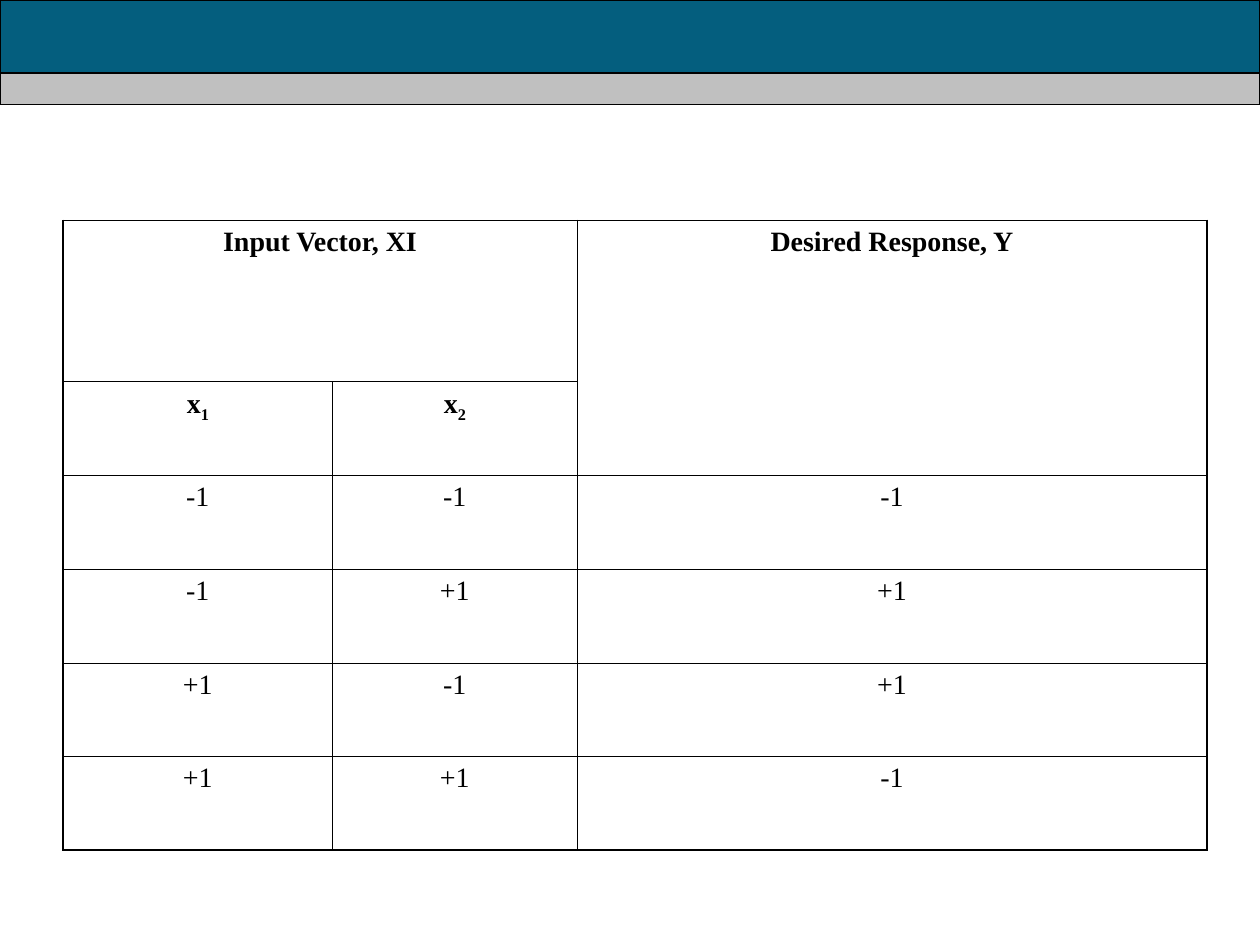
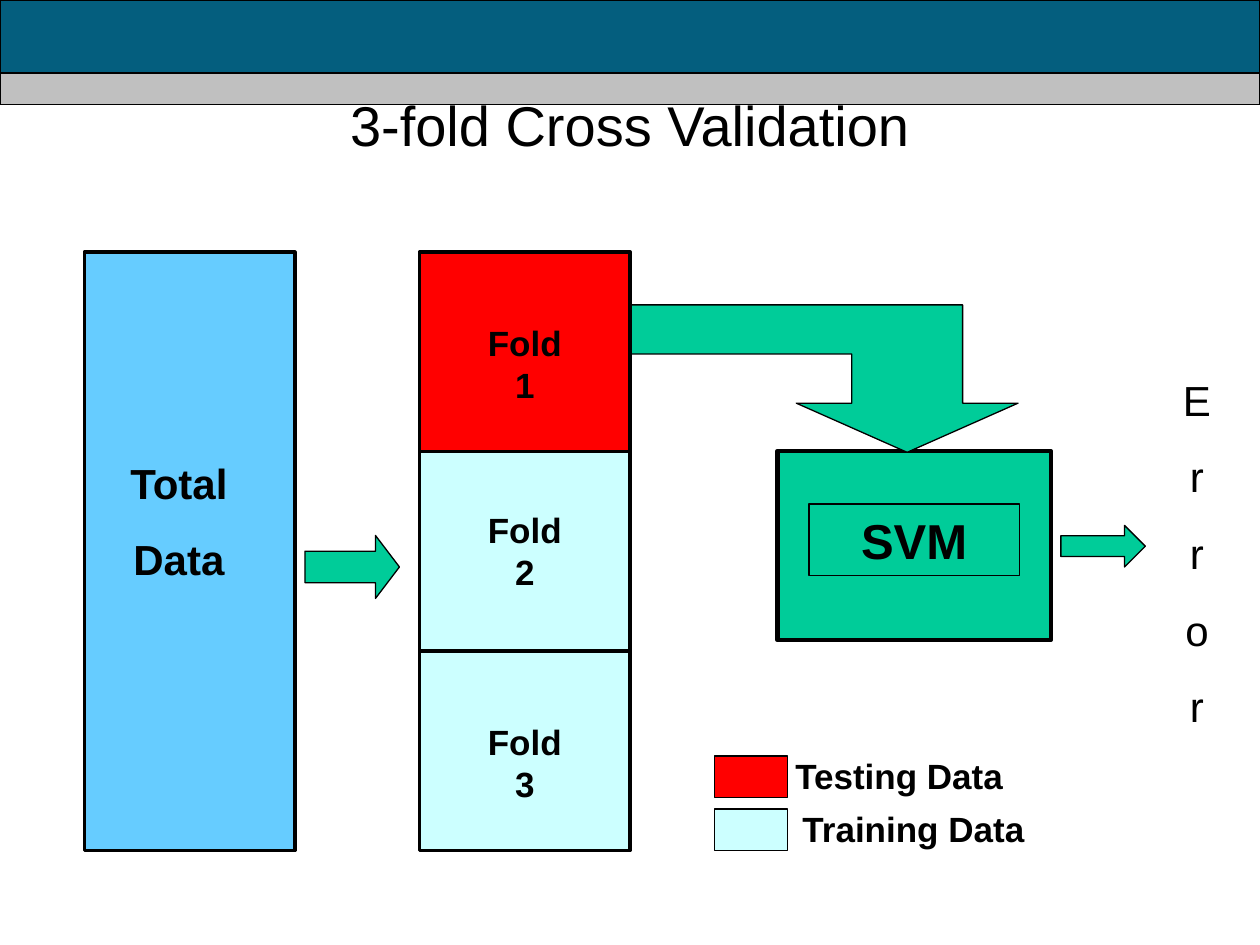
import pptx
import pptx.util
import pptx.dml.color
import pptx.enum.shapes
import pptx.enum.text
import pptx.oxml.ns
import lxml.etree

Inches = pptx.util.Inches
Pt = pptx.util.Pt
SHAPE = pptx.enum.shapes.MSO_SHAPE
ALIGN = pptx.enum.text.PP_ALIGN
ANCHOR = pptx.enum.text.MSO_ANCHOR

# Shared look
BLACK = "000000"
TEAL, GREY = "045E7E", "C0C0C0"
BLUE, GREEN = "66CCFF", "00CC99"
RED, PALE = "FF0000", "CCFFFF"
SANS, SERIF = "Arial", "Times New Roman"
OUTER, INNER = 1.08, 0.45


def color(code):
    return pptx.dml.color.RGBColor.from_string(code)


def add_run(para, text, size, face=SANS, bold=False, sub=False):
    run = para.add_run()
    run.text = text
    font = run.font
    font.size, font.name, font.bold = Pt(size), face, bold
    font.color.rgb = color(BLACK)
    if sub:
        run._r.get_or_add_rPr().set("baseline", "-25000")


def write(frame, lines, size, bold=True, align=ALIGN.CENTER, gap=0, wrap=True):
    frame.word_wrap = wrap
    frame.vertical_anchor = ANCHOR.TOP
    for i, line in enumerate(lines):
        para = frame.add_paragraph() if i else frame.paragraphs[0]
        para.alignment = align
        if i:
            para.space_before = Pt(gap)
        add_run(para, line, size, bold=bold)


def style(shape, fill, width):
    shape.shadow.inherit = False
    if fill:
        shape.fill.solid()
        shape.fill.fore_color.rgb = color(fill)
    else:
        shape.fill.background()
    shape.line.color.rgb = color(BLACK)
    shape.line.width = Pt(width)
    return shape


def add_box(slide, box, fill, width=0.75, kind=SHAPE.RECTANGLE):
    shape = slide.shapes.add_shape(kind, *map(Inches, box))
    return style(shape, fill, width)


def add_text(slide, box, lines, size, **look):
    label = slide.shapes.add_textbox(*map(Inches, box))
    write(label.text_frame, lines, size, **look)


def add_arrow(slide, box, head):
    arrow = add_box(slide, box, GREEN, kind=SHAPE.RIGHT_ARROW)
    arrow.adjustments[0] = 0.5
    arrow.adjustments[1] = head


def add_bands(deck, slide):
    """Draw the header bands and hand them to the slide master."""
    tree = deck.slide_master.element.cSld.spTree
    bands = [((0, 0, 10, 0.83), TEAL), ((0, 0.58, 10, 0.25), GREY)]
    for i, (box, fill) in enumerate(bands):
        tree.insert(2 + i, add_box(slide, box, fill).element)


def add_title(slide, box, text):
    title = slide.shapes.title
    title.left, title.top, title.width, title.height = map(Inches, box)
    write(title.text_frame, [text], 32, bold=False)


# Truth table
def set_edges(cell, widths):
    props = cell._tc.get_or_add_tcPr()
    for i, (side, width) in enumerate(zip("LRTB", widths)):
        line = lxml.etree.Element(pptx.oxml.ns.qn("a:ln" + side), w=str(Pt(width)))
        fill = lxml.etree.SubElement(line, pptx.oxml.ns.qn("a:solidFill"))
        lxml.etree.SubElement(fill, pptx.oxml.ns.qn("a:srgbClr"), val=BLACK)
        props.insert(i, line)


def add_grid(slide, box, cols, top, rows):
    tall, wide = len(rows), len(cols)
    grid = slide.shapes.add_table(tall, wide, *map(Inches, box)).table
    grid.first_row = grid.horz_banding = False
    for col, width in zip(grid.columns, cols):
        col.width = Inches(width)
    for i, row in enumerate(grid.rows):
        row.height = Inches(top if i == 0 else (box[3] - top) / (tall - 1))
    grid.cell(0, 0).merge(grid.cell(0, 1))
    grid.cell(0, 2).merge(grid.cell(1, 2))

    for r, row in enumerate(rows):
        for c, (text, sub) in enumerate(row):
            cell = grid.cell(r, c)
            cell.fill.background()
            if cell.is_spanned:
                continue
            ends = (c == 0, c == wide - 1, r == 0, r == tall - 1)
            set_edges(cell, [OUTER if end else INNER for end in ends])
            para = cell.text_frame.paragraphs[0]
            para.alignment = ALIGN.CENTER
            add_run(para, text, 16, SERIF, bold=r < 2)
            if sub:
                add_run(para, sub, 16, SERIF, bold=True, sub=True)


def table_slide(slide):
    none = ("", "")
    rows = [[("Input Vector, XI", ""), none, ("Desired Response, Y", "")],
            [("x", "1"), ("x", "2"), none]]
    for a in (-1, 1):
        for b in (-1, 1):
            rows.append([(f"{n:+d}", "") for n in (a, b, -a * b)])
    add_grid(slide, (0.5, 1.75, 9.08, 5), (2.14, 1.94, 5), 1.28, rows)


# Cross validation diagram
def add_total(slide, box):
    x, y, w, h = box
    add_box(slide, box, BLUE, 2)
    add_text(slide, (x + 0.25, y + 1.58, 1, 1.11), ["Total", "Data"], 24, gap=15)


def add_model(slide, box):
    x, y, w, h = box
    add_box(slide, box, GREEN, 2.5)
    label = add_box(slide, (x + 0.25, y + 0.42, w - 0.5, 0.57), None)
    write(label.text_frame, ["SVM"], 28)


def add_bend(slide, box):
    """Arrow that runs right, then turns down."""
    x, y, w, h = box
    neck, half, step = 0.44, 0.88, h / 3
    tip = w - half
    spots = [(tip, h), (tip - half, 2 * step), (tip - neck, 2 * step),
             (tip - neck, step), (0, step), (0, 0), (tip + neck, 0),
             (tip + neck, 2 * step), (w, 2 * step)]
    spots = [(Inches(x + dx), Inches(y + dy)) for dx, dy in spots]
    maker = slide.shapes.build_freeform(*spots[0], scale=1.0)
    maker.add_line_segments(spots[1:], close=True)
    style(maker.convert_to_shape(), GREEN, 0.75)


def add_folds(slide, box):
    x, y, w, h = box
    part = h / 3
    folds = [("Fold 1", RED, 0.5), ("Fold 2", PALE, 0.4), ("Fold 3", PALE, 0.5)]
    for i, (name, fill, drop) in enumerate(folds):
        top = y + i * part
        add_box(slide, (x, top, w, part), fill, 2)
        add_text(slide, (x + 0.42, top + drop, 0.83, 0.77), [name], 20)


def add_key(slide, box):
    x, y, w, h = box
    keys = [("Testing Data", RED, 0.52, 1.87), ("Training Data", PALE, 0.58, 1.98)]
    for i, (name, fill, shift, width) in enumerate(keys):
        top = y + i * 0.42
        add_box(slide, (x, top, 0.58, 0.33), fill)
        add_text(slide, (x + shift, top - 0.06, width, 0.44), [name], 20,
                 align=ALIGN.RIGHT, wrap=False)


def fold_slide(slide):
    add_title(slide, (0.75, 0.67, 8.5, 1.08), "3-fold Cross Validation")
    add_total(slide, (0.67, 2, 1.67, 4.75))
    add_model(slide, (6.17, 3.58, 2.17, 1.5))
    add_bend(slide, (5, 2.42, 3.08, 1.17))
    add_arrow(slide, (2.42, 4.25, 0.75, 0.5), 0.38)
    add_folds(slide, (3.33, 2, 1.67, 4.75))
    add_arrow(slide, (8.42, 4.17, 0.67, 0.33), 0.5)
    add_text(slide, (9.25, 2.92, 0.5, 2.94), list("Error"), 24, bold=False, gap=15)
    add_key(slide, (5.67, 6, 2.56, 0.75))


def main():
    deck = pptx.Presentation()
    deck.slide_width, deck.slide_height = Inches(10), Inches(7.5)
    first = deck.slides.add_slide(deck.slide_layouts[6])
    add_bands(deck, first)
    table_slide(first)
    fold_slide(deck.slides.add_slide(deck.slide_layouts[5]))
    deck.save("out.pptx")


if __name__ == "__main__":
    main()
